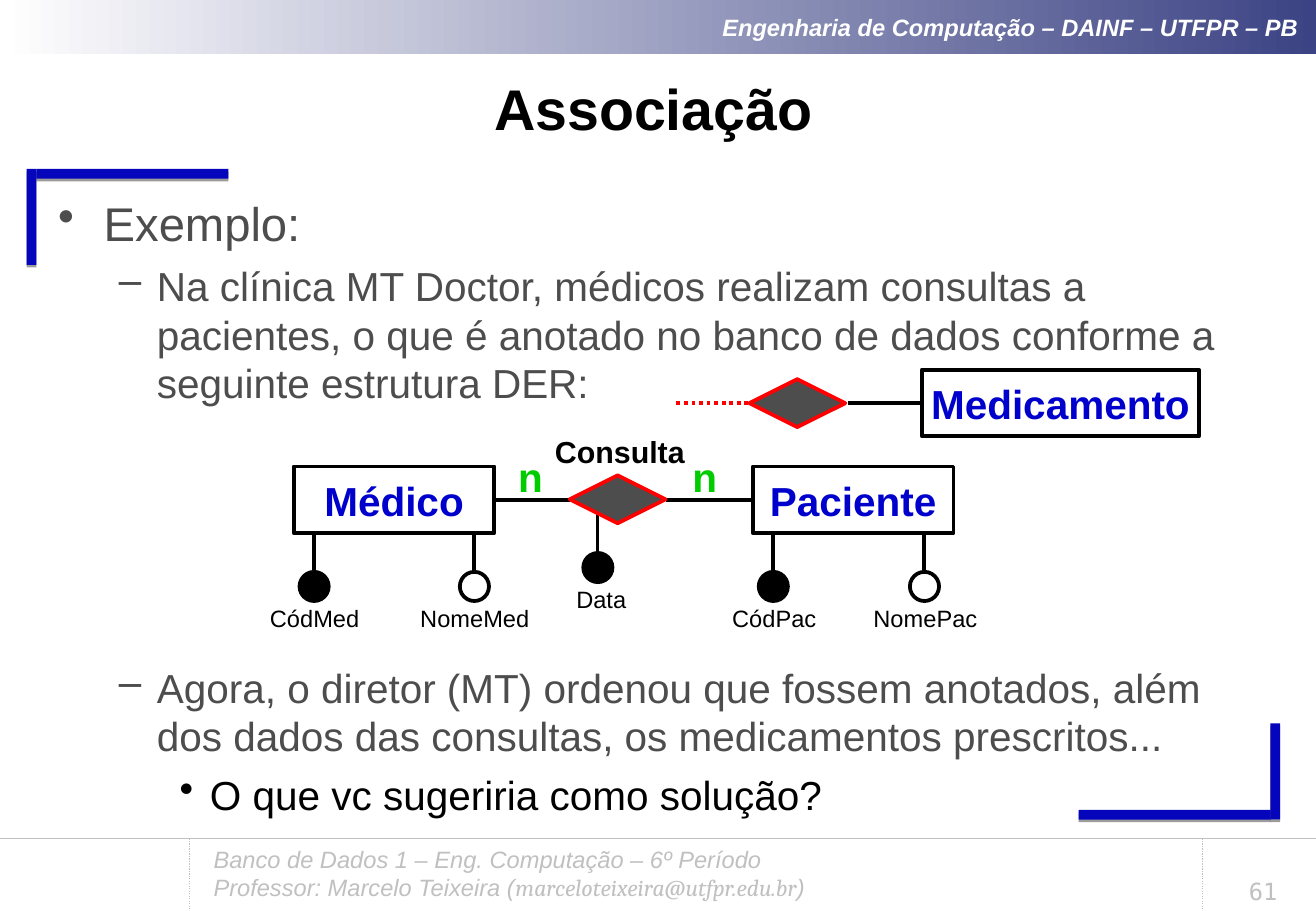
from lxml import etree
from pptx import Presentation
from pptx.dml.color import RGBColor
from pptx.enum.dml import MSO_LINE
from pptx.enum.shapes import MSO_CONNECTOR, MSO_SHAPE
from pptx.enum.text import MSO_ANCHOR, PP_ALIGN
from pptx.oxml.ns import qn
from pptx.util import Pt

LEFT, CENTER, RIGHT = PP_ALIGN.LEFT, PP_ALIGN.CENTER, PP_ALIGN.RIGHT
TOP, MIDDLE, BOTTOM = MSO_ANCHOR.TOP, MSO_ANCHOR.MIDDLE, MSO_ANCHOR.BOTTOM
RECTANGLE, DIAMOND, OVAL = MSO_SHAPE.RECTANGLE, MSO_SHAPE.DIAMOND, MSO_SHAPE.OVAL
STRAIGHT = MSO_CONNECTOR.STRAIGHT
DOTTED = MSO_LINE.ROUND_DOT

WIDTH, HEIGHT = 780.13, 540
FOOTER_TOP = 497
COLORS = {
    "white": "FFFFFF", "black": "000000", "navy": "3C4384", "bracket": "0505BB",
    "silver": "C0C0C0", "gray": "4D4D4D", "entity": "0000CC", "green": "00CC00",
    "red": "FF0000",
}
OUTLINE_LEVELS = [(27, -27, "•"), (58.5, -22.5, "–"), (90, -18, "•")]


def rgb(color):
    return RGBColor.from_string(COLORS[color])


class DiagramSlide:
    font = "Arial"
    stroke = 2.25

    def __init__(self, presentation):
        self.slide = presentation.slides.add_slide(presentation.slide_layouts[5])
        self.shapes = self.slide.shapes

    def style(self, paragraph, size, color, bold=False, italic=False, align=LEFT):
        paragraph.alignment = align
        font = paragraph.font
        font.name, font.size, font.bold, font.italic = self.font, Pt(size), bold, italic
        font.color.rgb = rgb(color)

    def frame(self, shape, inset=(7.2, 3.6), anchor=TOP, wrap=True):
        frame = shape.text_frame
        frame.word_wrap, frame.vertical_anchor = wrap, anchor
        frame.margin_left = frame.margin_right = Pt(inset[0])
        frame.margin_top = frame.margin_bottom = Pt(inset[1])
        return frame

    def title(self, text, box):
        title = self.shapes.title
        title.left, title.top, title.width, title.height = map(Pt, box)
        frame = self.frame(title, anchor=MIDDLE)
        frame.text = text
        self.style(frame.paragraphs[0], 34, "black", bold=True, align=CENTER)

    def text_box(self, box, **layout):
        return self.frame(self.shapes.add_textbox(*map(Pt, box)), **layout)

    def label(self, text, box, size, color, bold=False):
        frame = self.text_box(box, inset=(3, 3), anchor=MIDDLE)
        frame.text = text
        self.style(frame.paragraphs[0], size, color, bold, align=CENTER)

    def shape(self, kind, box, fill, line=None):
        shape = self.shapes.add_shape(kind, *map(Pt, box))
        shape.shadow.inherit = False
        if fill:
            shape.fill.solid()
            shape.fill.fore_color.rgb = rgb(fill)
        if line:
            shape.line.color.rgb = rgb(line)
            shape.line.width = Pt(self.stroke)
        else:
            shape.line.fill.background()
        return shape

    def line(self, start, end, color="black", width=stroke, dash=None):
        line = self.shapes.add_connector(STRAIGHT, *map(Pt, (*start, *end)))
        line.line.color.rgb = rgb(color)
        line.line.width = Pt(width)
        if dash:
            line.line.dash_style = dash
        etree.SubElement(line._element.spPr, qn("a:effectLst"))

    def banner(self, text):
        banner = self.shape(RECTANGLE, (1.1, 0, WIDTH - 1.1, 31.8), None)
        banner.fill.gradient()
        banner.fill.gradient_angle = 0
        for stop, color in zip(banner.fill.gradient_stops, ("white", "navy")):
            stop.color.rgb = rgb(color)
        frame = self.frame(banner, inset=(10.2, 3.6), anchor=MIDDLE)
        frame.text = text
        self.style(frame.paragraphs[0], 14, "white", True, True, RIGHT)

    def bracket_bar(self, box):
        bar = self.shape(RECTANGLE, box, "bracket")
        effects = bar._element.spPr.find(qn("a:effectLst"))
        shadow = etree.SubElement(effects, qn("a:outerShdw"), blurRad="0",
                                  dist=str(Pt(1.6)), dir="5400000", rotWithShape="0")
        tint = etree.SubElement(shadow, qn("a:srgbClr"), val=COLORS["black"])
        etree.SubElement(tint, qn("a:alpha"), val="38000")

    def outline(self, box, items):
        frame = self.text_box(box)
        for index, (level, text, size, color) in enumerate(items):
            paragraph = frame.add_paragraph() if index else frame.paragraphs[0]
            paragraph.text = text
            paragraph.level = level
            paragraph.space_before = Pt(6 if index else 0)
            margin, indent, bullet = OUTLINE_LEVELS[level]
            properties = paragraph._p.get_or_add_pPr()
            properties.set("marL", str(Pt(margin)))
            properties.set("indent", str(Pt(indent)))
            etree.SubElement(properties, qn("a:buChar"), char=bullet)
            self.style(paragraph, size, color)

    def footer(self, course, professor, page):
        for x in (112.3, 713):
            self.line((x, FOOTER_TOP), (x, HEIGHT), "silver", 0.75, DOTTED)
        self.line((0, FOOTER_TOP), (WIDTH, FOOTER_TOP), "silver", 0.25)
        frame = self.text_box((119.5, FOOTER_TOP, 543, 41))
        frame.text = course
        credit = frame.add_paragraph()
        for paragraph in frame.paragraphs:
            self.style(paragraph, 14, "silver", italic=True)
        for text, font in professor:
            run = credit.add_run()
            run.text, run.font.name = text, font
        number = self.text_box((717.5, 512, 62.6, 28), anchor=BOTTOM)
        number.text = page
        self.style(number.paragraphs[0], 14, "silver", align=CENTER)
        number.paragraphs[0].font.name = "DejaVu Sans Mono"

    def entity(self, name, left, top, width):
        entity = self.shape(RECTANGLE, (left, top, width, 39.6), "white", "black")
        frame = self.frame(entity, inset=(3, 3), anchor=MIDDLE, wrap=False)
        frame.text = name
        self.style(frame.paragraphs[0], 24, "entity", bold=True, align=CENTER)

    def relationship(self, left, top):
        self.shape(DIAMOND, (left, top, 56.9, 28.4), "gray", "red")

    def attribute(self, name, x, top, fill, label_x):
        self.line((x, top), (x, top + 28))
        self.shape(OVAL, (x - 8.4, top + 23, 17.3, 17.3), fill, "black")
        self.label(name, (label_x - 46.1, top + 39.4, 92.2, 22.3), 14, "black")


def main():
    presentation = Presentation()
    presentation.slide_width, presentation.slide_height = Pt(WIDTH), Pt(HEIGHT)
    page = DiagramSlide(presentation)

    page.banner("Engenharia de Computação – DAINF – UTFPR – PB")
    for bar in ((639.4, 480, 113.8, 5.8), (753.1, 428.8, 5.8, 56.9),
                (21.6, 100.1, 113.8, 5.8), (15.8, 100.1, 5.8, 56.9)):
        page.bracket_bar(bar)
    page.footer("Banco de Dados 1 – Eng. Computação – 6º Período",
                [("Professor: Marcelo Teixeira (", "Arial"),
                 ("marceloteixeira@utfpr.edu.br", "Cambria"), (")", "Arial")], "61")

    page.title("Associação", (15.8, 39.2, 743, 49.7))
    page.outline((27.4, 111.6, 720, 136), [
        (0, "Exemplo:", 28, "gray"),
        (1, "Na clínica MT Doctor, médicos realizam consultas a pacientes, o que é "
            "anotado no banco de dados conforme a seguinte estrutura DER:", 24, "gray")])
    page.outline((27.4, 389.2, 720, 106), [
        (1, "Agora, o diretor (MT) ordenou que fossem anotados, além dos dados das "
            "consultas, os medicamentos prescritos...", 24, "gray"),
        (2, "O que vc sugeriria como solução?", 24, "black")])

    for start, end in ((293, 337.7), (394.6, 446.4)):
        page.line((start, 296.2), (end, 296.2))
    page.entity("Médico", 174.2, 276.5, 118.8)
    page.entity("Paciente", 446.4, 276.5, 118.8)
    for name, x, top, fill, label_x in (
            ("CódMed", 186, 316, "black", 186.5), ("NomeMed", 281, 316, "white", 281.5),
            ("CódPac", 458.2, 316, "black", 459), ("NomePac", 547.8, 316, "white", 548.6),
            ("Data", 354.2, 304.8, "black", 356.4)):
        page.attribute(name, x, top, fill, label_x)
    page.relationship(337.7, 281.8)
    page.label("Consulta", (317.5, 253, 100, 29), 18, "black", True)
    for left in (277.4, 380.6):
        page.label("n", (left, 264.8, 74.2, 34.6), 24, "green", True)

    page.entity("Medicamento", 546.5, 219.1, 164.2)
    page.relationship(444.2, 224.8)
    page.line((502.6, 239), (546.5, 239))
    page.line((401, 239), (444.2, 239), "red", dash=DOTTED)

    presentation.save("out.pptx")


if __name__ == "__main__":
    main()
